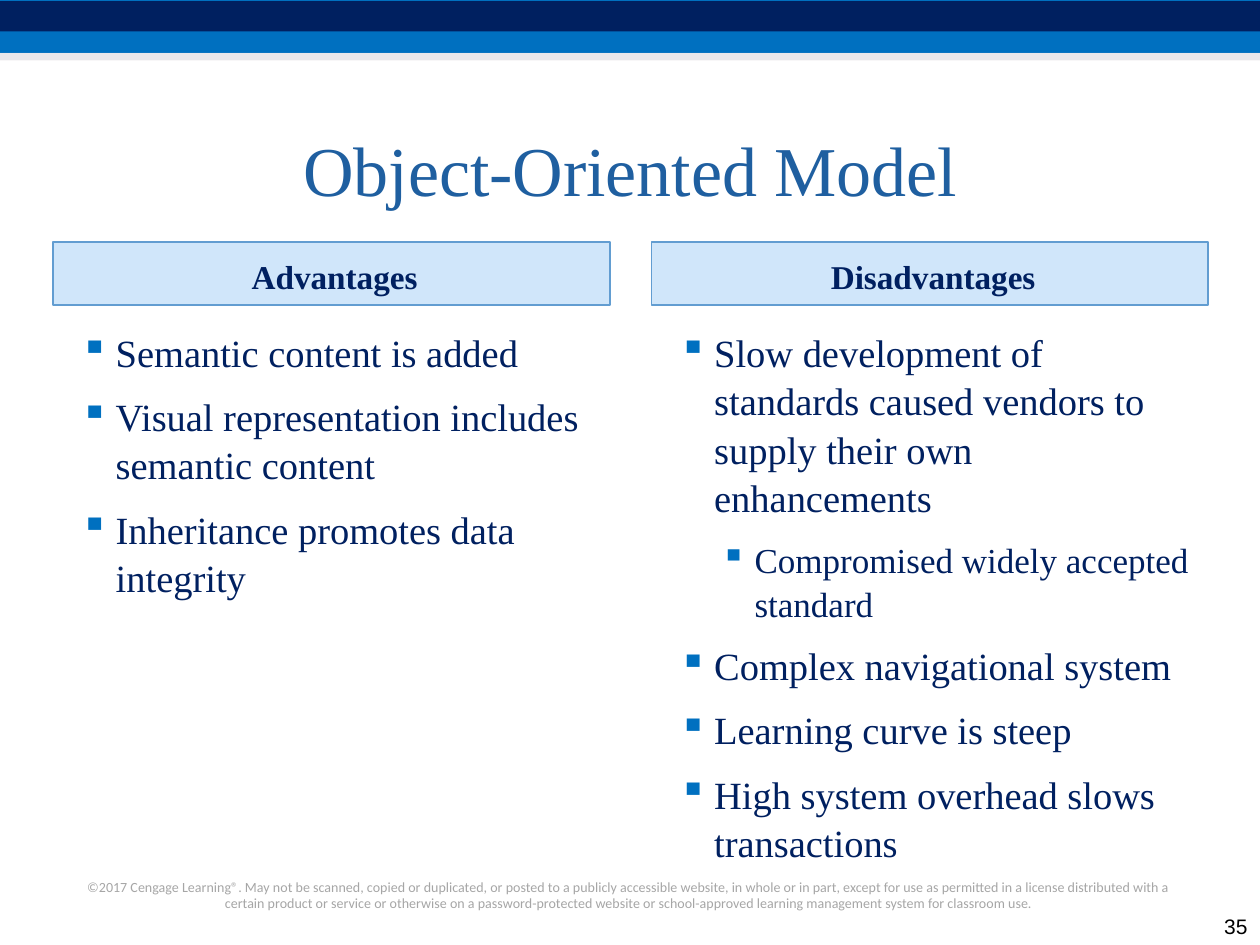
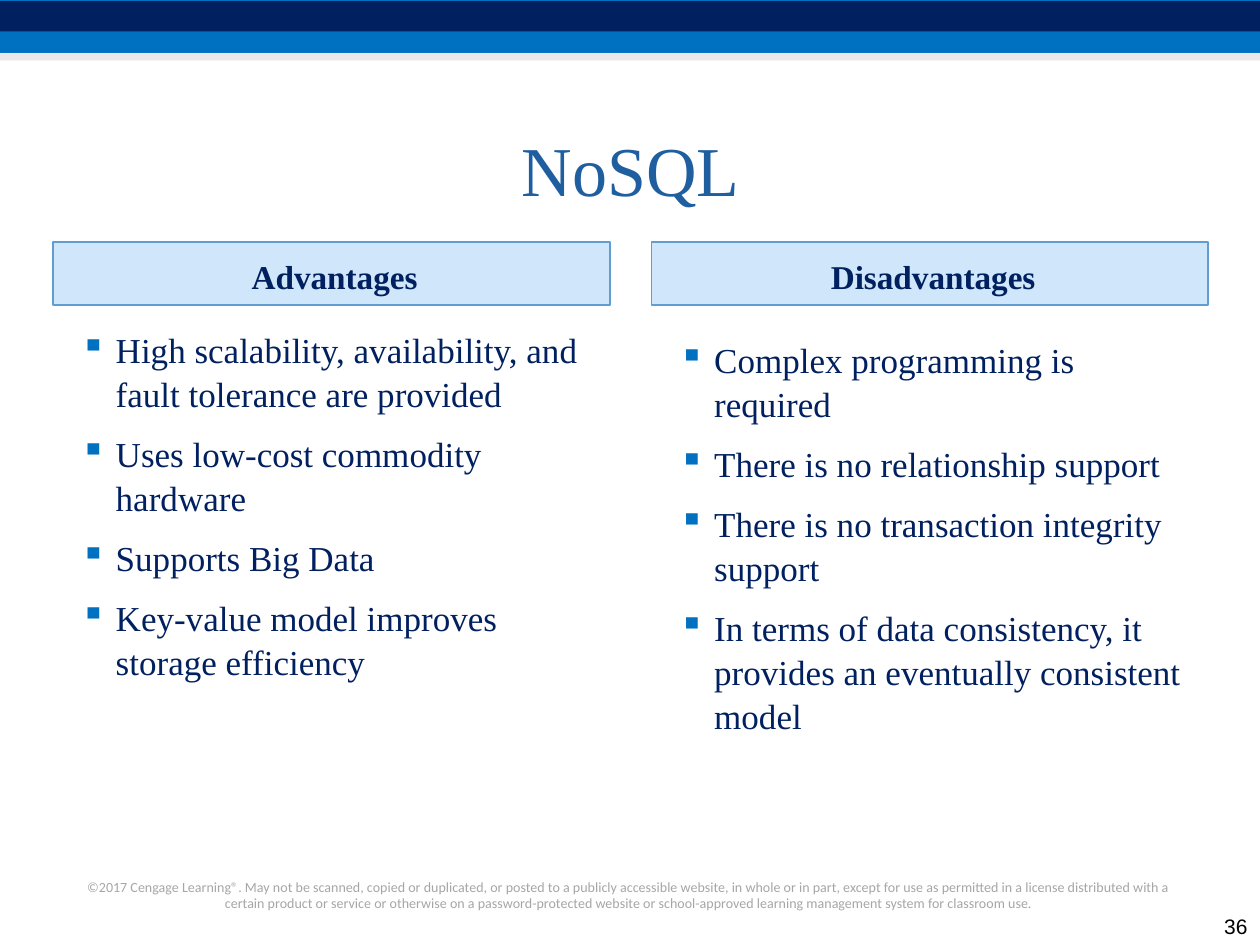
from lxml.etree import SubElement
from pptx import Presentation
from pptx.dml.color import RGBColor
from pptx.enum.shapes import MSO_SHAPE
from pptx.enum.text import MSO_ANCHOR, PP_ALIGN
from pptx.oxml.ns import qn
from pptx.util import Inches, Pt

NAVY = RGBColor(0x00, 0x20, 0x60)
BLUE = RGBColor(0x00, 0x70, 0xC0)
PALE_GREY = RGBColor(0xD8, 0xD3, 0xD9)
TITLE_BLUE = RGBColor(0x1F, 0x5F, 0xA0)
HEADING_FILL = RGBColor(0x46, 0x9F, 0xED)
HEADING_LINE = RGBColor(0x62, 0x9D, 0xD1)
FOOTER_GREY = RGBColor(0xA6, 0xA6, 0xA6)
BLACK = RGBColor(0x00, 0x00, 0x00)
SERIF = "Times New Roman"

COPYRIGHT = (
    "©2017 Cengage Learning®. May not be scanned, copied or duplicated, or posted to a "
    "publicly accessible website, in whole or in part, except for use as permitted in a "
    "license distributed with a certain product or service or otherwise on a "
    "password-protected website or school-approved learning management system for "
    "classroom use."
)
BANDS = [(0, 0.42, BLUE, 100), (0.01, 0.24, NAVY, 100), (0.42, 0.06, PALE_GREY, 50)]
COLUMN_LEFTS = [0.42, 5.17]
COLUMN_WIDTH = 4.42
HEADINGS = ["Advantages", "Disadvantages"]
INDENTS = [(0.4, -0.28), (0.72, -0.27)]
SUBPOINT_SIZE = 20

SLIDES = [
    ("Object-Oriented Model", 35, 22, [
        (2.5, [
            (0, "Semantic content is added"),
            (0, "Visual representation includes semantic content"),
            (0, "Inheritance promotes data integrity"),
        ]),
        (2.5, [
            (0, "Slow development of standards caused vendors to supply their own enhancements"),
            (1, "Compromised widely accepted standard"),
            (0, "Complex navigational system"),
            (0, "Learning curve is steep"),
            (0, "High system overhead slows transactions"),
        ]),
    ]),
    ("NoSQL", 36, 20, [
        (2.5, [
            (0, "High scalability, availability, and fault tolerance are provided"),
            (0, "Uses low-cost commodity hardware"),
            (0, "Supports Big Data"),
            (0, "Key-value model improves storage efficiency"),
        ]),
        (2.58, [
            (0, "Complex programming is required"),
            (0, "There is no relationship support"),
            (0, "There is no transaction integrity support"),
            (0, "In terms of data consistency, it provides an eventually consistent model"),
        ]),
    ]),
]


def add_rectangle(slide, left, top, width, height, color, opacity=100):
    rectangle = slide.shapes.add_shape(
        MSO_SHAPE.RECTANGLE, Inches(left), Inches(top), Inches(width), Inches(height))
    rectangle.shadow.inherit = False
    rectangle.line.fill.background()
    rectangle.fill.solid()
    rectangle.fill.fore_color.rgb = color
    if opacity < 100:
        tint = rectangle.fill._xPr.find(qn("a:solidFill"))[0]
        SubElement(tint, qn("a:alpha"), val=str(opacity * 1000))
    return rectangle


def write(shape, text, size, color, align, anchor=MSO_ANCHOR.TOP, font=SERIF, bold=False):
    frame = shape.text_frame
    frame.word_wrap = True
    frame.vertical_anchor = anchor
    line = frame.paragraphs[0]
    line.text = text
    line.alignment = align
    line.font.name = font
    line.font.size = Pt(size)
    line.font.bold = bold
    line.font.color.rgb = color


deck = Presentation()
deck.slide_width = Inches(10)
deck.slide_height = Inches(7.5)

for title, number, point_size, columns in SLIDES:
    slide = deck.slides.add_slide(deck.slide_layouts[6])

    for top, height, color, opacity in BANDS:
        add_rectangle(slide, 0, top, 10, height, color, opacity)

    footer = slide.shapes.add_textbox(Inches(0.58), Inches(6.92), Inches(8.83), Inches(0.37))
    write(footer, COPYRIGHT, 8, FOOTER_GREY, PP_ALIGN.CENTER, font="Calibri")

    title_box = slide.shapes.add_textbox(Inches(0.42), Inches(0.75), Inches(9.17), Inches(1.17))
    write(title_box, title, 40, TITLE_BLUE, PP_ALIGN.CENTER, MSO_ANCHOR.MIDDLE)

    for left, heading, (top, points) in zip(COLUMN_LEFTS, HEADINGS, columns):
        header = add_rectangle(slide, left, 1.92, COLUMN_WIDTH, 0.5, HEADING_FILL, 25)
        header.line.color.rgb = HEADING_LINE
        header.line.width = Pt(1)
        header.text_frame.margin_left = Inches(0.15)
        header.text_frame.margin_top = Inches(0.09)
        write(header, heading, 19, NAVY, PP_ALIGN.CENTER, MSO_ANCHOR.MIDDLE, bold=True)

        body = slide.shapes.add_textbox(
            Inches(left), Inches(top), Inches(COLUMN_WIDTH), Inches(4.25)).text_frame
        body.word_wrap = True
        body.margin_top = Inches(0.09)
        for index, (level, text) in enumerate(points):
            point = body.add_paragraph() if index else body.paragraphs[0]
            point.text = text
            point.level = level
            point.line_spacing = 1.05
            point.space_before = Pt(3 if index else 0)
            point.space_after = Pt(6)
            margin, indent = INDENTS[level]
            properties = point._p.get_or_add_pPr()
            properties.set("marL", str(Inches(margin)))
            properties.set("indent", str(Inches(indent)))
            bullet_color = SubElement(properties, qn("a:buClr"))
            SubElement(bullet_color, qn("a:srgbClr"), val=str(BLUE))
            SubElement(properties, qn("a:buChar"), char="▪")
            point.font.name = SERIF
            point.font.size = Pt(SUBPOINT_SIZE if level else point_size)
            point.font.color.rgb = NAVY

    page = slide.shapes.add_textbox(Inches(9.5), Inches(7.17), Inches(0.5), Inches(0.33))
    write(page, str(number), 12, BLACK, PP_ALIGN.RIGHT, MSO_ANCHOR.BOTTOM, "Arial")

deck.save("out.pptx")
